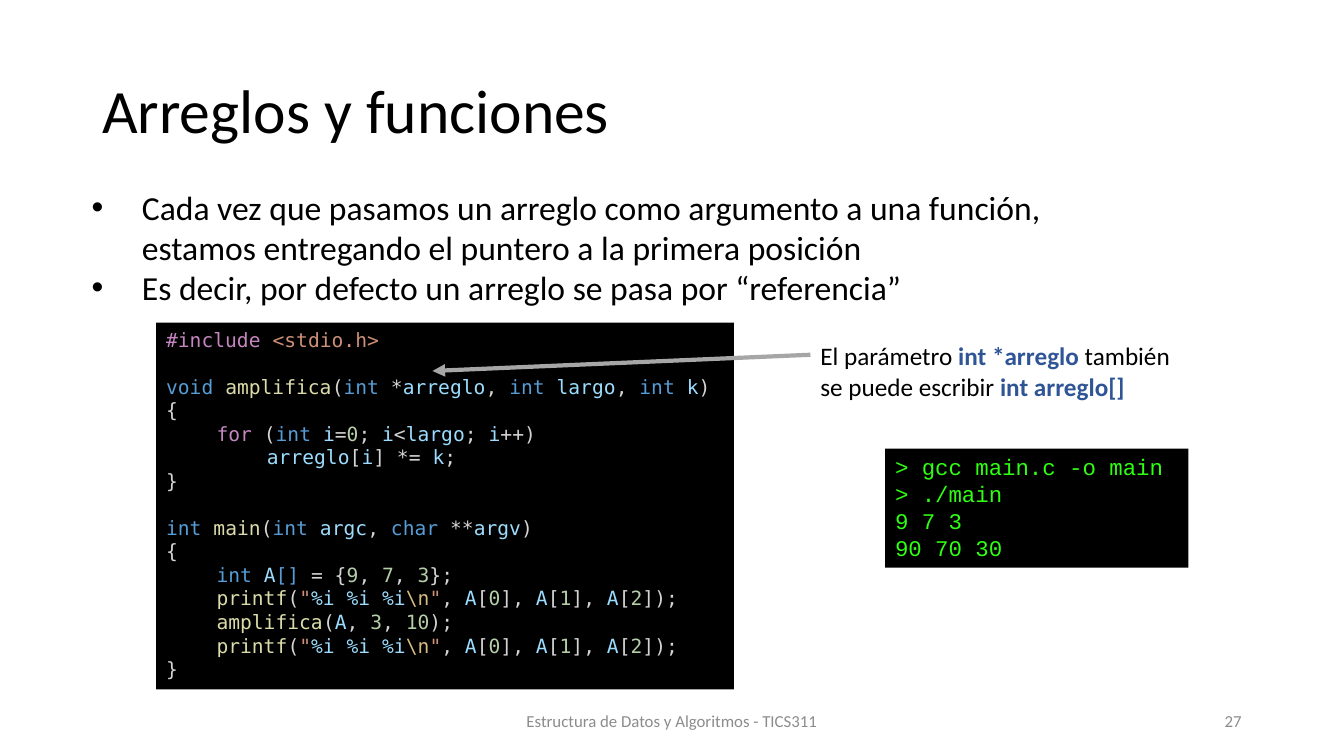
from lxml.etree import SubElement
from pptx import Presentation
from pptx.dml.color import RGBColor
from pptx.enum.shapes import MSO_CONNECTOR as Connector, MSO_SHAPE as Preset
from pptx.enum.text import MSO_ANCHOR as Anchor, PP_ALIGN as Align
from pptx.oxml.ns import qn
from pptx.util import Pt

BODY_FONT, CODE_FONT, TERMINAL_FONT = "Calibri", "DejaVu Sans Mono", "Courier New"
BLACK, FOOTER_GREY, ARROW_GREY = "000000", "8C8C8C", "A6A6A6"
ACCENT, TERMINAL_GREEN = "2F5597", "2FFF12"
CODE_LINE = 16.8  # height of one line of code
TAB = 36

# Syntax colours, by the letter that opens each token
SYNTAX = {
    "c": "C586C0",  # directive, control flow
    "k": "569CD6",  # type
    "f": "DCDCAA",  # function
    "v": "9CDCFE",  # variable
    "n": "B5CEA8",  # number
    "s": "CE9178",  # string
    "e": "D7BA7D",  # escape sequence
    "p": "D4D4D4",  # punctuation
}
PRINT_LINE = ('f:\tprintf|p:(|s:"|v:%i %i %i|e:\\n|s:"|p:, |v:A|p:[|n:0|p:], '
              '|v:A|p:[|n:1|p:], |v:A|p:[|n:2|p:]);')
# Blocks of code are set apart by one line
CODE_BLOCKS = [
    ["c:#include |s:<stdio.h>"],
    [
        "k:void |f:amplifica|p:(|k:int|p: *|v:arreglo|p:, |k:int |v:largo|p:, |k:int |v:k|p:)",
        "p:{",
        "c:\tfor|p: (|k:int |v:i|p:=|n:0|p:; |v:i|p:<|v:largo|p:; |v:i|p:++)",
        "v:\t\tarreglo|p:[|v:i|p:] *= |v:k|p:;",
        "p:}",
    ],
    [
        "k:int |f:main|p:(|k:int |v:argc|p:, |k:char|p: **|v:argv|p:)",
        "p:{",
        "k:\tint |v:A|k:[]|p: = {|n:9|p:, |n:7|p:, |n:3|p:};",
        PRINT_LINE,
        "f:\tamplifica|p:(|v:A|p:, |n:3|p:, |n:10|p:);",
        PRINT_LINE,
        "p:}",
    ],
]


def color(value):
    return RGBColor.from_string(value)


def format_run(run, font_name, size, value, bold=False):
    run.font.name = font_name
    run.font.size = Pt(size)
    run.font.color.rgb = color(value)
    run.font.bold = bold


def add_lines(text_frame, lines, font_name, size, value):
    text_frame.text = "\n".join(lines)
    for paragraph in text_frame.paragraphs:
        paragraph.alignment = Align.LEFT
        for run in paragraph.runs:
            format_run(run, font_name, size, value)


def add_text_box(slide, box, anchor=Anchor.TOP):
    shape = slide.shapes.add_textbox(*map(Pt, box))
    text_frame = shape.text_frame
    text_frame.word_wrap = True
    text_frame.vertical_anchor = anchor
    return text_frame


def add_panel(slide, box):
    shape = slide.shapes.add_shape(Preset.RECTANGLE, *map(Pt, box))
    shape.shadow.inherit = False
    shape.fill.solid()
    shape.fill.fore_color.rgb = color(BLACK)
    shape.line.fill.background()
    text_frame = shape.text_frame
    text_frame.word_wrap = True
    text_frame.vertical_anchor = Anchor.TOP
    return text_frame


def add_title(slide, box, title):
    text_frame = add_text_box(slide, box, Anchor.MIDDLE)
    add_lines(text_frame, [title], BODY_FONT, 44, BLACK)
    text_frame.paragraphs[0].line_spacing = 0.9


def add_footer(slide, box, course, number):
    left, top, width, height = box
    number_width = 216
    number_box = (left + width - number_width, top, number_width, height)
    course_box = (left + 252, top, 324, height)
    for text, part, alignment in ((course, course_box, Align.CENTER),
                                  (number, number_box, Align.RIGHT)):
        text_frame = add_text_box(slide, part, Anchor.MIDDLE)
        add_lines(text_frame, [text], BODY_FONT, 12, FOOTER_GREY)
        text_frame.paragraphs[0].alignment = alignment


def add_bullets(slide, box, items):
    text_frame = add_text_box(slide, box)
    add_lines(text_frame, items, BODY_FONT, 24, BLACK)
    for paragraph in text_frame.paragraphs:
        properties = paragraph._p.get_or_add_pPr()
        properties.set("marL", str(Pt(36)))
        properties.set("indent", str(Pt(-36)))
        SubElement(properties, qn("a:buFont"), typeface="Arial")
        SubElement(properties, qn("a:buChar"), char="•")


def add_code(slide, box, blocks):
    text_frame = add_panel(slide, box)
    paragraph = text_frame.paragraphs[0]
    for block_index, block in enumerate(blocks):
        for line_index, line in enumerate(block):
            if block_index or line_index:
                paragraph = text_frame.add_paragraph()
            paragraph.alignment = Align.LEFT
            if block_index and not line_index:
                paragraph.space_before = Pt(CODE_LINE)
            tabs = SubElement(paragraph._p.get_or_add_pPr(), qn("a:tabLst"))
            for stop in (1, 2):
                SubElement(tabs, qn("a:tab"), pos=str(Pt(TAB * stop)), algn="l")
            for token in line.split("|"):
                kind, text = token.split(":", 1)
                run = paragraph.add_run()
                run.text = text
                format_run(run, CODE_FONT, 14, SYNTAX[kind])


def add_terminal(slide, box, lines):
    add_lines(add_panel(slide, box), lines, TERMINAL_FONT, 16, TERMINAL_GREEN)


def add_note(slide, box, lines, arrow_offset):
    left, top, width, height = box
    text_frame = add_text_box(slide, box)
    for index, pieces in enumerate(lines):
        paragraph = text_frame.add_paragraph() if index else text_frame.paragraphs[0]
        for text, bold in pieces:
            run = paragraph.add_run()
            run.text = text
            format_run(run, BODY_FONT, 18, ACCENT if bold else BLACK, bold)

    # Arrow from the note to the parameter in the code
    start_y = top + 13.6
    across, down = arrow_offset
    arrow = slide.shapes.add_connector(
        Connector.STRAIGHT, Pt(left), Pt(start_y), Pt(left + across), Pt(start_y + down))
    arrow.line.color.rgb = color(ARROW_GREY)
    arrow.line.width = Pt(3)
    SubElement(arrow.line._get_or_add_ln(), qn("a:tailEnd"), type="triangle")
    SubElement(arrow._element.spPr, qn("a:effectLst"))


def main():
    presentation = Presentation()
    presentation.slide_width, presentation.slide_height = Pt(960), Pt(540)
    slide = presentation.slides.add_slide(presentation.slide_layouts[6])

    add_title(slide, (66, 28.8, 828, 104.4), "Arreglos y funciones")
    add_footer(slide, (66, 500.4, 828, 28.8),
               "Estructura de Datos y Algoritmos - TICS311", "27")
    add_bullets(slide, (58.3, 129.6, 792, 94.3), [
        "Cada vez que pasamos un arreglo como argumento a una función, \v"
        "estamos entregando el puntero a la primera posición",
        "Es decir, por defecto un arreglo se pasa por “referencia”",
    ])
    add_terminal(slide, (632.2, 320.4, 216.7, 85),
                 ["> gcc main.c -o main", "> ./main", "9 7 3", "90 70 30"])
    add_code(slide, (111.6, 230.4, 412.6, 262), CODE_BLOCKS)
    add_note(slide, (578.9, 239.8, 275, 51), [
        [("El parámetro ", False), ("int *arreglo ", True), ("también", False)],
        [("se puede escribir ", False), ("int arreglo[]", True)],
    ], arrow_offset=(-270, 11.6))

    presentation.save("out.pptx")


if __name__ == "__main__":
    main()
